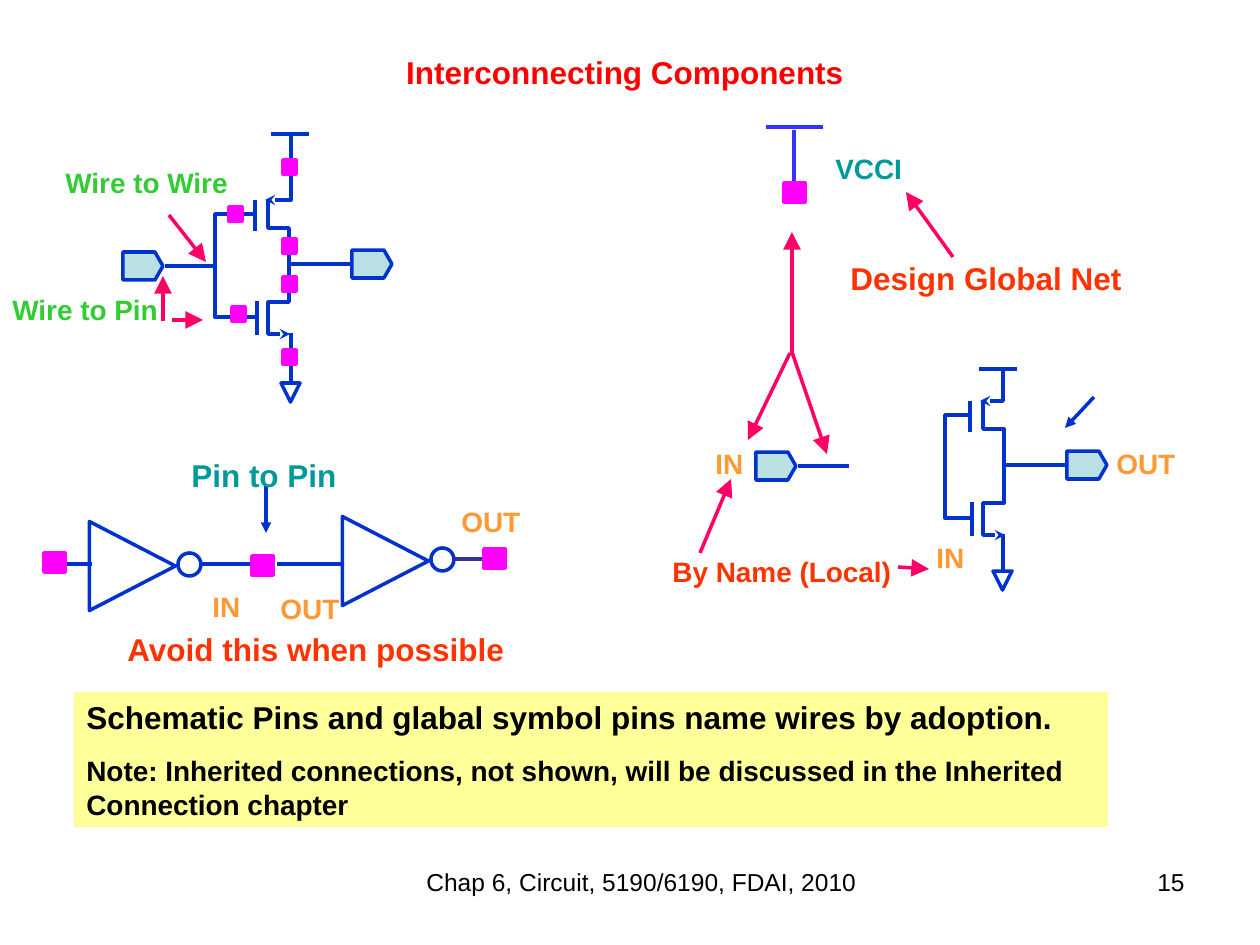
from pptx import Presentation
from pptx import util as u
from pptx.dml.color import RGBColor
from pptx.enum import shapes, text
from pptx.oxml.ns import qn
from lxml import etree

PX = 914400 / 126  # EMU in one px

BLUE, PINK, MAGENTA = "0033CC", "FF0066", "FF00FF"
ORANGE, RED, GREEN, TEAL = "FF9933", "FF3300", "33CC33", "009999"
BLACK, VIOLET, NAVY = "000000", "3333FF", "333399"
KIND = shapes.MSO_SHAPE
ALIGN = text.PP_ALIGN


def emu(*lengths):
    return [u.Emu(round(n * PX)) for n in lengths]


def rgb(hex_colour):
    return RGBColor.from_string(hex_colour)


def outline(shape, colour, head=None, size="med"):
    """Draw a 2 pt outline, with an arrowhead at its end if asked for."""
    shape.line.color.rgb = rgb(colour)
    shape.line.width = u.Pt(2)
    if head:
        etree.SubElement(shape.line._get_or_add_ln(), qn("a:tailEnd"),
                         type=head, w=size, len=size)


def wire(slide, x1, y1, x2, y2, colour=BLUE, head=None, size="med"):
    line = slide.shapes.add_connector(
        shapes.MSO_CONNECTOR.STRAIGHT, *emu(x1, y1, x2, y2))
    outline(line, colour, head, size)
    etree.SubElement(line._element.spPr, qn("a:effectLst"))


def pointer(slide, x1, y1, x2, y2):
    wire(slide, x1, y1, x2, y2, PINK, "triangle", "lg")


def bent_wire(slide, points, head=None):
    builder = slide.shapes.build_freeform(*emu(*points[0]), scale=1.0)
    builder.add_line_segments([emu(*p) for p in points[1:]], close=False)
    bend = builder.convert_to_shape()
    bend.shadow.inherit = False
    bend.fill.background()
    outline(bend, BLUE, head)


def symbol(slide, kind, box, fill=None, line=BLUE, turn=0):
    part = slide.shapes.add_shape(kind, *emu(*box))
    part.shadow.inherit = False
    part.rotation = turn
    if fill:
        part.fill.solid()
        part.fill.fore_color.rgb = rgb(fill)
    else:
        part.fill.background()
    if line:
        outline(part, line)
    else:
        part.line.fill.background()
    return part


def write(paragraph, words, size, colour, bold=True, align=ALIGN.LEFT, before=0):
    paragraph.alignment = align
    paragraph.space_before = u.Pt(before)
    run = paragraph.add_run()
    run.text = words
    font = run.font
    font.name, font.size, font.bold = "Arial", u.Pt(size), bold
    font.color.rgb = rgb(colour)


def label(slide, words, x, y, width, colour, size=16, height=47, **style):
    frame = slide.shapes.add_textbox(*emu(x, y, width, height)).text_frame
    frame.word_wrap = True
    write(frame.paragraphs[0], words, size, colour, **style)


def node(slide, x, y, width=13, height=14):
    symbol(slide, KIND.RECTANGLE, (x, y, width, height), MAGENTA, MAGENTA)


def port(slide, cx, cy):
    symbol(slide, KIND.FLOWCHART_OFFPAGE_CONNECTOR,
           (cx - 14, cy - 20, 28, 40), "BBE0E3", turn=270)


def input_port(slide, cx, cy):
    port(slide, cx, cy)
    wire(slide, cx + 22, cy, cx + 73, cy)


def transistor_pair(slide, x, y, rail_x, rail_y, gate_x, lead_x, ground_y):
    """CMOS inverter; x, y is the source corner of the upper transistor."""
    # Supply rail and its lead
    wire(slide, rail_x, rail_y, rail_x + 38, rail_y)
    bent_wire(slide, [(lead_x, rail_y + 1), (lead_x, y), (x - 3, y)], "stealth")
    # Channels and gates
    channel = [(0, 0), (0, 28), (21, 28), (21, 102), (0, 102), (0, 134), (22, 134)]
    bent_wire(slide, [(x + dx, y + dy) for dx, dy in channel], "stealth")
    wire(slide, x - 13, y, x - 13, y + 31)
    wire(slide, x - 11, y + 101, x - 11, y + 135)
    bent_wire(slide, [(x - 14, y + 14), (gate_x, y + 14),
                      (gate_x, y + 117), (x - 12, y + 117)])
    # Ground and output
    wire(slide, lead_x, y + 133, lead_x, ground_y)
    symbol(slide, KIND.FLOWCHART_MERGE, (lead_x - 10, ground_y - 1, 19, 19))
    wire(slide, x + 22, y + 64, x + 85, y + 64)
    port(slide, x + 104, y + 64)


def inverter_gate(slide, x, y):
    symbol(slide, KIND.FLOWCHART_MERGE, (x, y, 89, 86), turn=270)
    symbol(slide, KIND.OVAL, (x + 90, y + 30, 23, 23))


def note_panel(slide):
    panel = symbol(slide, KIND.RECTANGLE, (74, 692, 1034, 135), "FFFF99", None)
    frame = panel.text_frame
    frame.word_wrap = True
    frame.vertical_anchor = text.MSO_ANCHOR.TOP
    write(frame.paragraphs[0],
          "Schematic Pins and glabal symbol pins name wires by adoption.",
          18, BLACK, before=11.2)
    write(frame.add_paragraph(),
          "Note: Inherited connections, not shown, will be discussed in the "
          "Inherited Connection chapter", 16, BLACK, before=10)


def title(slide, words):
    heading = slide.shapes.title
    heading.left, heading.top, heading.width, heading.height = emu(53, 38, 1144, 68)
    frame = heading.text_frame
    frame.auto_size = text.MSO_AUTO_SIZE.NONE
    frame.vertical_anchor = text.MSO_ANCHOR.MIDDLE
    write(frame.paragraphs[0], words, 18, "FF0000", align=ALIGN.CENTER)


def main():
    deck = Presentation()
    deck.slide_width, deck.slide_height = emu(1260, 945)
    slide = deck.slides.add_slide(deck.slide_layouts[5])
    title(slide, "Interconnecting Components")

    # Wire to wire and wire to pin
    transistor_pair(slide, 268, 200, rail_x=271, rail_y=134,
                    gate_x=215, lead_x=291, ground_y=384)
    input_port(slide, 143, 266)
    for x, y in [(232, 307), (229, 207), (283, 350), (283, 160), (283, 239), (283, 277)]:
        node(slide, x, y)
    pointer(slide, 169, 215, 206, 262)
    pointer(slide, 163, 321, 163, 276)
    pointer(slide, 172, 320, 203, 320)

    # Pin to pin
    for x, y in [(88, 523), (341, 518)]:
        inverter_gate(slide, x, y)
    for start, end in [(62, 92), (202, 251), (277, 344)]:
        wire(slide, start, 564, end, 564)
    wire(slide, 454, 559, 503, 559, NAVY)
    wire(slide, 266, 486, 266, 533, head="triangle")

    # Design global net
    wire(slide, 766, 127, 823, 127, VIOLET)
    wire(slide, 794, 130, 794, 185, VIOLET)
    for x, y in [(252, 556), (44, 553), (484, 549), (784, 183)]:
        node(slide, x, y, 21, 19)
    pointer(slide, 792, 353, 792, 232)
    pointer(slide, 790, 353, 748, 440)
    pointer(slide, 792, 352, 827, 454)
    pointer(slide, 953, 257, 906, 192)

    # By name
    transistor_pair(slide, 983, 401, rail_x=979, rail_y=369,
                    gate_x=945, lead_x=1003, ground_y=572)
    input_port(slide, 776, 466)
    wire(slide, 1094, 397, 1065, 428, head="triangle")
    pointer(slide, 700, 553, 731, 479)
    pointer(slide, 898, 567, 929, 569)

    # Labels
    for words, x, y, width, colour in [
        ("Wire to Wire", 53, 159, 228, GREEN),
        ("Wire to Pin", 0, 286, 228, GREEN),
        ("OUT", 449, 498, 106, ORANGE),
        ("OUT", 268, 585, 96, ORANGE),
        ("IN", 200, 583, 74, ORANGE),
        ("OUT", 1104, 440, 106, ORANGE),
        ("IN", 703, 440, 74, ORANGE),
        ("IN", 924, 534, 74, ORANGE),
        ("By Name (Local)", 660, 548, 260, RED),
        ("VCCI", 823, 145, 192, TEAL),
    ]:
        label(slide, words, x, y, width, colour, before=10)
    for words, x, y, width, colour in [
        ("Pin to Pin", 179, 450, 226, TEAL),
        ("Design Global Net", 838, 253, 300, RED),
        ("Avoid this when possible", 115, 624, 422, RED),
    ]:
        label(slide, words, x, y, width, colour, 18, 50, before=11.2)

    # Note and footer
    note_panel(slide)
    label(slide, "Chap 6, Circuit, 5190/6190, FDAI, 2010", 200, 861, 883, BLACK,
          14, 66, bold=False, align=ALIGN.CENTER)
    label(slide, "15", 903, 861, 294, BLACK, 14, 66, bold=False, align=ALIGN.RIGHT)

    deck.save("out.pptx")


if __name__ == "__main__":
    main()
